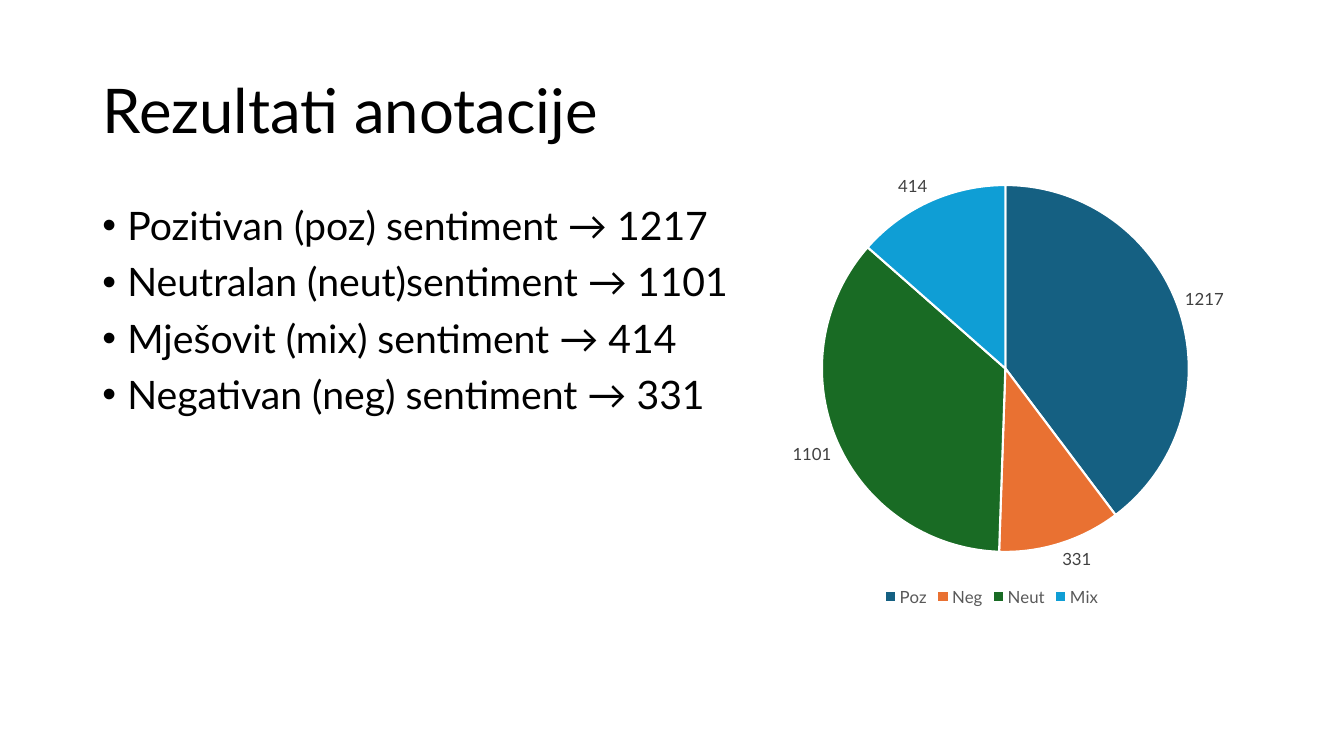
import pptx
import pptx.chart.data
import pptx.dml.color
import pptx.enum.chart
import pptx.enum.text
import pptx.util
from lxml import etree
from pptx.util import Pt

FONT = "Lato"
SENTIMENTS = [
    "Pozitivan (poz) sentiment → 1217",
    "Neutralan (neut)sentiment → 1101",
    "Mješovit (mix) sentiment → 414",
    "Negativan (neg) sentiment → 331",
]
SLICES = [
    ("Poz", 1217, "156082"),
    ("Neg", 331, "E97132"),
    ("Neut", 1101, "196B24"),
    ("Mix", 414, "0F9ED5"),
]


def rgb(value):
    return pptx.dml.color.RGBColor.from_string(value)


def format_font(font, size, color):
    font.name = FONT
    font.size = Pt(size)
    font.color.rgb = rgb(color)


def write(p, text, size=28, color="000000", before=0, bullet=False):
    r = p.add_run()
    r.text = text
    format_font(r.font, size, color)
    p.alignment = pptx.enum.text.PP_ALIGN.LEFT
    p.line_spacing = 0.9
    p.space_before = Pt(before)
    if bullet:
        pPr = p._p.get_or_add_pPr()
        pPr.set("marL", str(Pt(18)))
        pPr.set("indent", str(Pt(-18)))
        ns = pptx.oxml.ns.qn
        etree.SubElement(pPr, ns("a:buFont")).set("typeface", "Arial")
        etree.SubElement(pPr, ns("a:buChar")).set("char", "•")


def add_title(slide, text):
    sp = slide.shapes.title
    sp.left, sp.top, sp.width, sp.height = Pt(66), Pt(28.8), Pt(828), Pt(104.4)
    tf = sp.text_frame
    tf.vertical_anchor = pptx.enum.text.MSO_ANCHOR.MIDDLE
    write(tf.paragraphs[0], text, size=44)


def add_bullets(slide, lines):
    sp = slide.shapes.add_textbox(Pt(66), Pt(144), Pt(828), Pt(342.6))
    tf = sp.text_frame
    tf.word_wrap = True
    for i, line in enumerate(lines):
        p = tf.add_paragraph() if i else tf.paragraphs[0]
        write(p, line, before=10, bullet=True)


def set_plot_layout(chart, x, y, w, h):
    """Fix the inner plot area as fractions of the chart, which python-pptx has no method for."""
    ns = pptx.oxml.ns.qn
    plot_area = chart._chartSpace.chart.plotArea
    for old in plot_area.findall(ns("c:layout")):
        plot_area.remove(old)
    layout = etree.Element(ns("c:layout"))
    manual = etree.SubElement(layout, ns("c:manualLayout"))
    settings = [("layoutTarget", "inner"), ("xMode", "edge"), ("yMode", "edge"),
                ("x", x), ("y", y), ("w", w), ("h", h)]
    for tag, value in settings:
        etree.SubElement(manual, ns("c:" + tag)).set("val", str(value))
    plot_area.insert(0, layout)


def add_pie(slide, slices):
    data = pptx.chart.data.CategoryChartData()
    data.categories = [name for name, _, _ in slices]
    data.add_series("Series 1", [value for _, value, _ in slices])
    chart = slide.shapes.add_chart(
        pptx.enum.chart.XL_CHART_TYPE.PIE,
        Pt(465.8), Pt(72), Pt(485.3), Pt(364.3), data).chart
    format_font(chart.font, 10, "000000")
    chart.has_title = False
    chart.has_legend = True
    legend = chart.legend
    legend.position = pptx.enum.chart.XL_LEGEND_POSITION.BOTTOM
    legend.include_in_layout = False
    format_font(legend.font, 12, "595959")

    plot = chart.plots[0]
    plot.vary_by_categories = True
    series = plot.series[0]
    for i, (_, _, color) in enumerate(slices):
        slice_format = series.points[i].format
        slice_format.fill.solid()
        slice_format.fill.fore_color.rgb = rgb(color)
        slice_format.line.color.rgb = rgb("FFFFFF")
        slice_format.line.width = Pt(1.5)
    labels = series.data_labels
    labels.show_value = True
    labels.position = pptx.enum.chart.XL_LABEL_POSITION.OUTSIDE_END
    format_font(labels.font, 12, "404040")
    set_plot_layout(chart, 0.25, 0.12, 0.54, 0.81)


def main():
    prs = pptx.Presentation()
    prs.slide_width, prs.slide_height = Pt(960), Pt(540)
    slide = prs.slides.add_slide(prs.slide_layouts[5])
    add_title(slide, "Rezultati anotacije")
    add_bullets(slide, SENTIMENTS)
    add_pie(slide, SLICES)
    prs.save("out.pptx")


if __name__ == "__main__":
    main()
